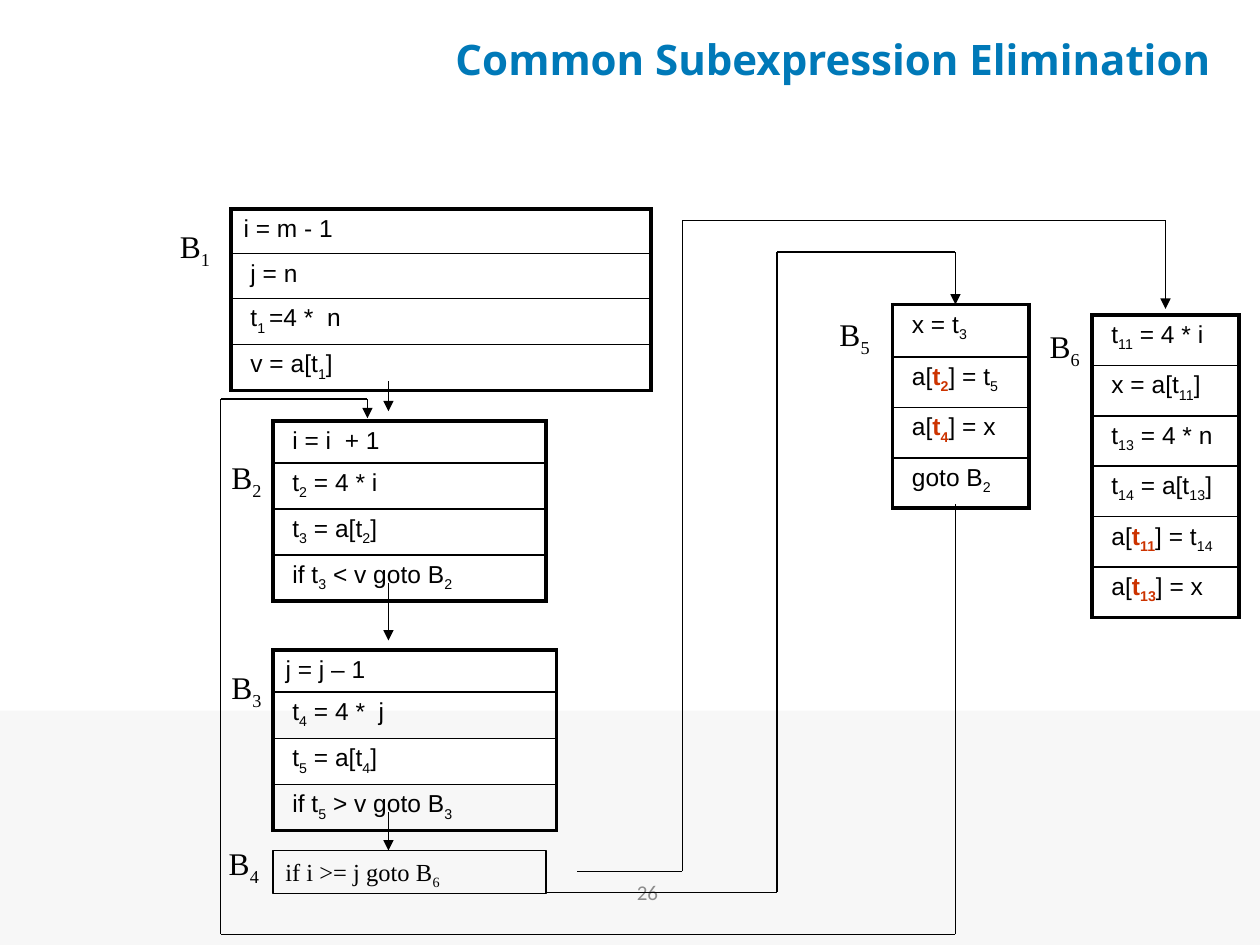
import pptx
import pptx.dml.color
import pptx.enum.shapes
import pptx.enum.text
import pptx.oxml
import pptx.oxml.ns
import pptx.util
from lxml import etree

Pt = pptx.util.Pt
RGBColor = pptx.dml.color.RGBColor
ALIGN = pptx.enum.text.PP_ALIGN
ANCHOR = pptx.enum.text.MSO_ANCHOR
RECTANGLE = pptx.enum.shapes.MSO_SHAPE.RECTANGLE
STRAIGHT = pptx.enum.shapes.MSO_CONNECTOR.STRAIGHT
qn = pptx.oxml.ns.qn

BLACK = RGBColor(0x00, 0x00, 0x00)
WHITE = RGBColor(0xFF, 0xFF, 0xFF)
BAND = RGBColor(0xF7, 0xF7, 0xF7)
BLUE = RGBColor(0x00, 0x79, 0xB8)
GREY = RGBColor(0x8C, 0x8C, 0x8C)
RED = RGBColor(0xCC, 0x33, 0x00)

deck = pptx.Presentation()
deck.slide_width, deck.slide_height = Pt(720), Pt(540)
page = deck.slides.add_slide(deck.slide_layouts[6])


def write(para, text, font, size, color=BLACK):
    """Fill a paragraph; |..| marks a subscript and ^..^ a red bold part."""
    for red, part in enumerate(text.split("^")):
        for lowered, piece in enumerate(part.split("|")):
            if not piece:
                continue
            span = para.add_run()
            span.text = piece
            span.font.name = font
            span.font.size = Pt(size)
            span.font.bold = red % 2 == 1
            span.font.color.rgb = RED if red % 2 else color
            if lowered % 2:
                span.font._element.set("baseline", "-25000")


def add_text(left, top, width, height, text, font, size, color, align, anchor):
    box = page.shapes.add_textbox(Pt(left), Pt(top), Pt(width), Pt(height))
    box.text_frame.word_wrap = True
    box.text_frame.vertical_anchor = anchor
    para = box.text_frame.paragraphs[0]
    para.alignment = align
    write(para, text, font, size, color)
    return para


# Grey band at the foot of the page
band = page.shapes.add_shape(RECTANGLE, 0, Pt(406), Pt(720), Pt(134))
band.shadow.inherit = False
band.fill.solid()
band.fill.fore_color.rgb = BAND
band.line.fill.background()

# Page number and title
add_text(256, 491, 228, 37.5, "26", "Calibri", 12, GREY, ALIGN.CENTER, ANCHOR.MIDDLE)
title = add_text(246, 12.5, 460, 42, "Common Subexpression Elimination",
                 "Open Sans", 24, BLUE, ALIGN.CENTER, ANCHOR.MIDDLE)
title.runs[0].font.bold = True

# Basic blocks: left, top, width, row heights, white row, statements
blocks = [
    (132, 119.5, 240, [25.5] * 4, None,
     ["i = m - 1", " j = n", " t|1 |=4 *  n", " v = a[t|1|]"]),
    (156, 240.5, 156, [23, 25, 25, 25], 2,
     [" i = i  + 1", " t|2| = 4 * i", " t|3| = a[t|2|]", " if t|3| < v goto B|2|"]),
    (156, 371.5, 162, [24, 25, 25, 25], 2,
     ["j = j – 1", " t|4| = 4 *  j", " t|5| = a[t|4|]", " if t|5| > v goto B|3|"]),
    (510, 174, 78, [30, 28.8, 28.8, 28.8], None,
     [" x = t|3|", " a[^t|2|^] = t|5|", " a[^t|4|^] = x", " goto B|2|"]),
    (624, 180, 84, [28.8] * 6, None,
     [" t|11| = 4 * i", " x = a[t|11|]", " t|13| = 4 * n", " t|14| = a[t|13|]",
      " a[^t|11|^] = t|14|", " a[^t|13|^] = x"]),
]
for left, top, width, heights, white_row, statements in blocks:
    table = page.shapes.add_table(len(statements), 1, Pt(left), Pt(top),
                                  Pt(width), Pt(sum(heights))).table
    table.first_row = table.horz_banding = False
    table.columns[0].width = Pt(width)
    last = len(statements) - 1
    for row, (height, statement) in enumerate(zip(heights, statements)):
        table.rows[row].height = Pt(height)
        cell = table.cell(row, 0)
        write(cell.text_frame.paragraphs[0], statement, "Arial", 14)
        sides = {"L": 2.25, "R": 2.25,
                 "T": 2.25 if row == 0 else 1,
                 "B": 2.25 if row == last else 1}
        properties = cell._tc.get_or_add_tcPr()
        for side, weight in sides.items():
            border = etree.SubElement(properties, qn("a:ln" + side), w=str(Pt(weight)))
            fill = etree.SubElement(border, qn("a:solidFill"))
            etree.SubElement(fill, qn("a:srgbClr"), val=str(BLACK))
        if row == white_row:
            cell.fill.solid()
            cell.fill.fore_color.rgb = WHITE
        else:
            cell.fill.background()

# Block B4 is a single statement
branch = page.shapes.add_shape(RECTANGLE, Pt(156), Pt(486), Pt(156), Pt(24.5))
branch.shadow.inherit = False
branch.fill.background()
branch.line.color.rgb = BLACK
branch.line.width = Pt(0.75)
branch.text_frame.word_wrap = True
branch.text_frame.vertical_anchor = ANCHOR.TOP
branch.text_frame.paragraphs[0].alignment = ALIGN.LEFT
write(branch.text_frame.paragraphs[0], "if i >= j goto B|6|", "Times New Roman", 14)

# Block labels
label_places = [(67, 126), (96.5, 258), (96.5, 378), (95, 479), (444, 176.5), (564, 183.5)]
for number, (left, top) in enumerate(label_places, 1):
    add_text(left, top, 60, 29, f"B|{number}|", "Times New Roman", 18, BLACK,
             ALIGN.RIGHT, ANCHOR.TOP)

# Control flow: each route ends in an arrowhead
routes = [
    [(222, 218), (222, 235)],
    [(222, 333), (222, 366)],
    [(222, 464), (222, 486)],
    [(330, 498), (390, 498), (390, 126), (666, 126), (666, 176.5)],
    [(312, 510), (444, 510), (444, 144), (546, 144), (546, 174)],
    [(546, 288), (546, 534), (126, 534), (126, 228), (210, 228), (210, 239)],
]
for route in routes:
    for start, end in zip(route, route[1:]):
        line = page.shapes.add_connector(STRAIGHT, *map(Pt, start + end))
        line.line.color.rgb = BLACK
        line.line.width = Pt(0.75)
        if end == route[-1]:
            etree.SubElement(line.line._get_or_add_ln(), qn("a:tailEnd"), type="triangle")
        etree.SubElement(line._element.spPr, qn("a:effectLst"))

deck.save("out.pptx")
